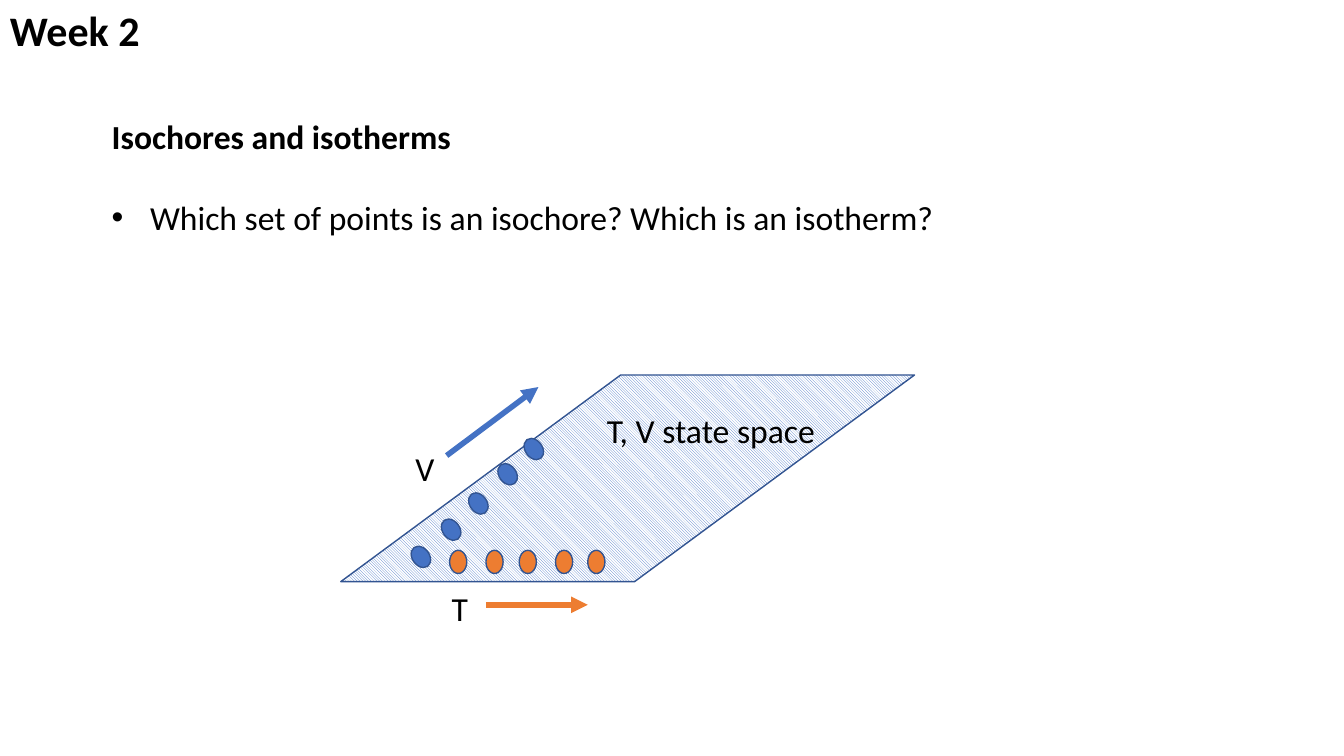
from dataclasses import dataclass

import pptx
import pptx.dml.color
import pptx.enum.dml
import pptx.enum.shapes
import pptx.enum.text
import pptx.oxml
import pptx.oxml.ns
import pptx.shapes.autoshape
import pptx.util
from lxml import etree

Inches = pptx.util.Inches
Pt = pptx.util.Pt
Color = pptx.dml.color.RGBColor
Kind = pptx.enum.shapes.MSO_SHAPE
Anchor = pptx.enum.text.MSO_ANCHOR
qn = pptx.oxml.ns.qn


@dataclass(frozen=True)
class Theme:
    font: str = "Calibri"
    title: int = 30
    body: int = 24
    ink: Color = Color.from_string("000000")
    paper: Color = Color.from_string("FFFFFF")
    blue: Color = Color.from_string("4472C4")
    edge: Color = Color.from_string("325491")
    orange: Color = Color.from_string("ED7D31")


@dataclass(frozen=True)
class Box:
    left: float
    top: float
    width: float
    height: float


@dataclass(frozen=True)
class Label:
    text: str
    box: Box


@dataclass(frozen=True)
class Dots:
    spots: tuple[tuple[float, float], ...]
    color: Color
    turn: float = 0


@dataclass(frozen=True)
class Arrow:
    start: tuple[float, float]
    end: tuple[float, float]
    color: Color


THEME = Theme()
DOT_SIZE = (0.17, 0.23)

PLANE = Box(3.38, 3.72, 5.69, 2.05)
AXES = (
    Label("T", Box(4.38, 5.78, 2.21, 1.5)),
    Label("V", Box(4.02, 4.39, 2.21, 1.5)),
)
SPACE = Label("T, V state space", Box(5.92, 4.02, 2.29, 0.5))
SETS = (
    Dots(((4.09, 5.41), (4.39, 5.14), (4.66, 4.88), (4.95, 4.59), (5.21, 4.34)),
         THEME.blue, 323.5),
    Dots(tuple((x, 5.46) for x in (4.46, 4.82, 5.15, 5.51, 5.83)), THEME.orange),
)
ARROWS = (
    Arrow((4.43, 4.52), (5.34, 3.84), THEME.blue),
    Arrow((4.82, 6), (5.83, 6), THEME.orange),
)


def place(box: Box) -> list[int]:
    return [Inches(n) for n in (box.left, box.top, box.width, box.height)]


def add_run(para, text: str, size: int = THEME.body, bold: bool = False) -> None:
    run = para.add_run()
    run.text = text
    run.font.name = THEME.font
    run.font.size = Pt(size)
    run.font.bold = bold
    run.font.color.rgb = THEME.ink


def add_frame(shapes, box: Box):
    frame = shapes.add_textbox(*place(box)).text_frame
    frame.word_wrap = True
    return frame


def add_label(shapes, label: Label) -> None:
    add_run(add_frame(shapes, label.box).paragraphs[0], label.text)


def add_bullet(para) -> None:
    props = para._p.get_or_add_pPr()
    props.set("marL", str(Inches(0.38)))
    props.set("indent", str(-Inches(0.38)))
    etree.SubElement(props, qn("a:buFont")).set("typeface", "Arial")
    etree.SubElement(props, qn("a:buChar")).set("char", "•")


def add_form(shapes, kind: Kind, box: Box) -> pptx.shapes.autoshape.Shape:
    shape = shapes.add_shape(kind, *place(box))
    shape.shadow.inherit = False
    shape.line.color.rgb = THEME.edge
    shape.line.width = Pt(1)
    return shape


def add_plane(shapes) -> None:
    shape = add_form(shapes, Kind.PARALLELOGRAM, PLANE)
    shape.adjustments[0] = 1.354
    shape.fill.patterned()
    shape.fill.pattern = pptx.enum.dml.MSO_PATTERN.LIGHT_DOWNWARD_DIAGONAL
    shape.fill.fore_color.rgb = THEME.blue
    shape.fill.back_color.rgb = THEME.paper


def add_dots(shapes, dots: Dots) -> None:
    for left, top in dots.spots:
        shape = add_form(shapes, Kind.OVAL, Box(left, top, *DOT_SIZE))
        shape.rotation = dots.turn
        shape.fill.solid()
        shape.fill.fore_color.rgb = dots.color


def add_arrow(shapes, arrow: Arrow) -> None:
    points = [Inches(n) for n in arrow.start + arrow.end]
    line = shapes.add_connector(pptx.enum.shapes.MSO_CONNECTOR.STRAIGHT, *points)
    line.line.color.rgb = arrow.color
    line.line.width = Pt(4)
    etree.SubElement(line.line._get_or_add_ln(), qn("a:tailEnd")).set("type", "triangle")
    etree.SubElement(line._element.spPr, qn("a:effectLst"))


def main() -> None:
    deck = pptx.Presentation()
    deck.slide_width = Inches(13.33)
    deck.slide_height = Inches(7.5)
    shapes = deck.slides.add_slide(deck.slide_layouts[6]).shapes

    # Title
    title = add_frame(shapes, Box(0, 0, 13.33, 0.65))
    title.vertical_anchor = Anchor.MIDDLE
    title.paragraphs[0].line_spacing = 0.9
    add_run(title.paragraphs[0], "Week 2", THEME.title, True)

    # Heading and question
    body = add_frame(shapes, Box(1.01, 1.1, 12.32, 1.31))
    add_run(body.paragraphs[0], "Isochores and isotherms", bold=True)
    point = body.add_paragraph()
    point.space_before = Pt(29)
    add_bullet(point)
    add_run(point, "Which set of points is an isochore? Which is an isotherm?")

    # State space with its axis names and two sets of points
    group = shapes.add_group_shape().shapes
    add_plane(group)
    for label in AXES:
        add_label(group, label)
    for dots in SETS:
        add_dots(group, dots)

    # Axis arrows and name of the plane
    for arrow in ARROWS:
        add_arrow(shapes, arrow)
    add_label(shapes, SPACE)

    deck.save("out.pptx")


if __name__ == "__main__":
    main()
